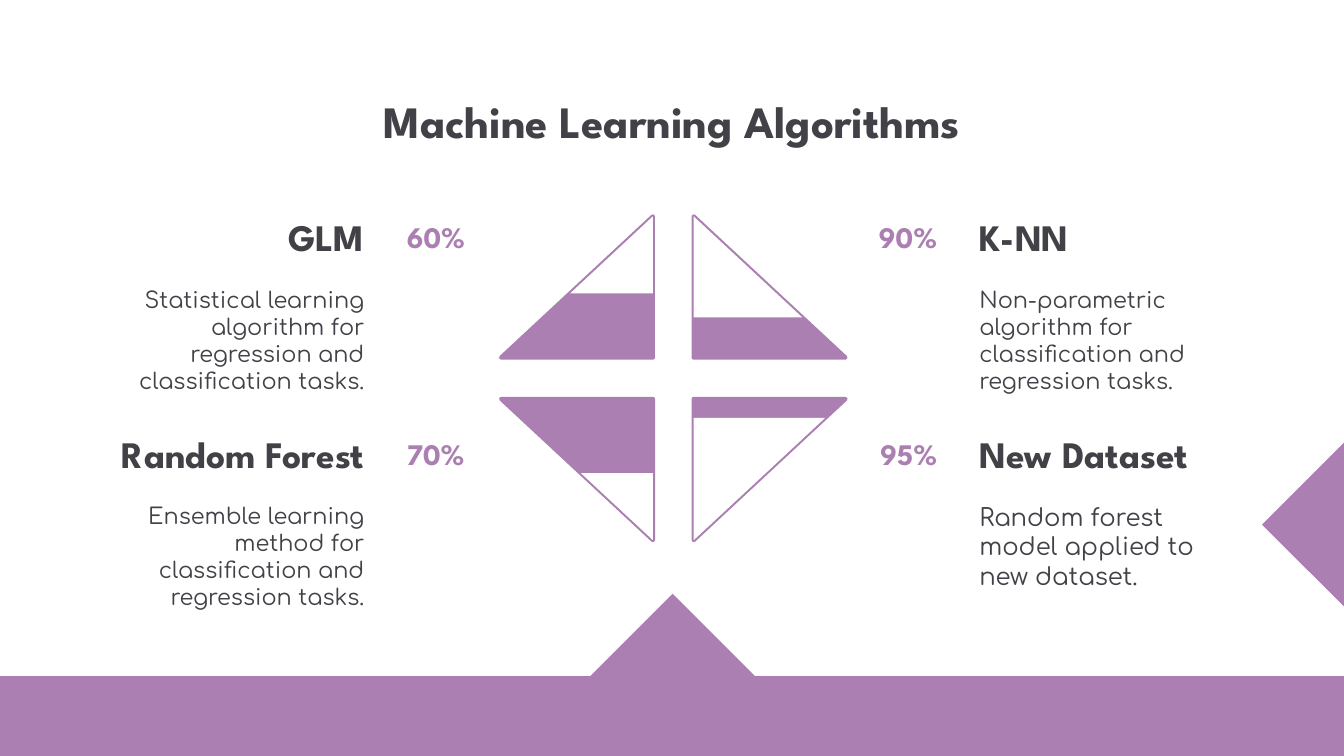
from dataclasses import dataclass

from lxml import etree
from pptx import Presentation
from pptx.dml.color import RGBColor
from pptx.enum import shapes, text
from pptx.oxml import ns
from pptx.util import Cm, Pt


@dataclass(frozen=True)
class Theme:
    accent: RGBColor = RGBColor(0xAC, 0x7F, 0xB2)
    ink: RGBColor = RGBColor(0x41, 0x41, 0x47)
    paper: RGBColor = RGBColor(0xFF, 0xFF, 0xFF)
    heading_font: str = "League Spartan"
    body_font: str = "Comfortaa"
    title_size: int = 24
    heading_size: int = 20
    percent_size: int = 16
    body_size: int = 12
    large_body_size: int = 13


THEME = Theme()
LEFT, CENTER, RIGHT = text.PP_ALIGN.LEFT, text.PP_ALIGN.CENTER, text.PP_ALIGN.RIGHT
TOP, MIDDLE, BOTTOM = (
    text.MSO_ANCHOR.TOP, text.MSO_ANCHOR.MIDDLE, text.MSO_ANCHOR.BOTTOM)

# Grid, in centimetres
ROW_GAP = 4.09
LEFT_COLUMN_EDGE, RIGHT_COLUMN_EDGE = 7.14, 18.26
TRIANGLE_WIDTH, TRIANGLE_HEIGHT = 2.87, 2.67
TRIANGLE_TOPS = (4.09, 7.54)
INNER_LEFT, INNER_RIGHT = 12.34, 13.11

# Name, description, percentage, body size, empty share of the triangle;
# listed by row, left before right
ALGORITHMS = [
    ("GLM", "Statistical learning algorithm for regression and classification tasks.",
     "60%", THEME.body_size, 0.545),
    ("K-NN", "Non-parametric algorithm for classification and regression tasks.",
     "90%", THEME.body_size, 0.715),
    ("Random Forest", "Ensemble learning method for classification and regression tasks.",
     "70%", THEME.body_size, 0.475),
    ("New Dataset", "Random forest model applied to new dataset.",
     "95%", THEME.large_body_size, 0.865),
]


def write_text(shape, content, *, size, font=THEME.heading_font, bold=True,
               color=THEME.ink, align=LEFT, anchor=MIDDLE):
    frame = shape.text_frame
    frame.word_wrap = True
    frame.auto_size = text.MSO_AUTO_SIZE.NONE
    frame.vertical_anchor = anchor
    frame.margin_left = frame.margin_right = Cm(0.25)
    frame.margin_top = frame.margin_bottom = Cm(0.25)
    paragraph = frame.paragraphs[0]
    paragraph.alignment = align
    run = paragraph.add_run()
    run.text = content
    run.font.name = font
    run.font.size = Pt(size)
    run.font.bold = bold
    run.font.color.rgb = color


def add_text(slide, box, content, **text_format):
    shape = slide.shapes.add_textbox(*map(Cm, box))
    write_text(shape, content, **text_format)


def add_solid(slide, kind, box, color=THEME.accent, rotation=0):
    shape = slide.shapes.add_shape(kind, *map(Cm, box))
    shape.shadow.inherit = False
    shape.rotation = rotation
    shape.fill.solid()
    shape.fill.fore_color.rgb = color
    shape.line.fill.background()
    return shape


def add_outline(shape, color, width):
    shape.line.color.rgb = color
    shape.line.width = Pt(width)
    line = shape.line._get_or_add_ln()
    etree.SubElement(line, ns.qn("a:round"))


def add_triangle(slide, row, on_left, color, scale=1):
    """Right triangle whose tip stays at the inner edge of its quadrant."""
    width, height = TRIANGLE_WIDTH * scale, TRIANGLE_HEIGHT * scale
    left = INNER_LEFT - width if on_left else INNER_RIGHT
    top = TRIANGLE_TOPS[row] + (TRIANGLE_HEIGHT - height if row else 0)
    shape = add_solid(slide, shapes.MSO_SHAPE.ISOSCELES_TRIANGLE,
                      (left, top, width, height), color, rotation=180 * row)
    # A half turn swaps the sides
    shape.adjustments[0] = 1 if on_left != bool(row) else 0
    return shape


def add_gauge(slide, row, on_left, empty_share):
    whole = add_triangle(slide, row, on_left, THEME.accent)
    add_outline(whole, THEME.accent, 2.25)
    add_triangle(slide, row, on_left, THEME.paper, empty_share)


def add_algorithm(slide, row, on_left, name, description, percent, body_size):
    offset = row * ROW_GAP
    align = RIGHT if on_left else LEFT

    def column_box(top, width, height):
        left = LEFT_COLUMN_EDGE - width if on_left else RIGHT_COLUMN_EDGE
        return left, top + offset, width, height

    add_text(slide, column_box(3.78, 6, 1.37), name,
             size=THEME.heading_size, align=align, anchor=BOTTOM)
    add_text(slide, column_box(5.16, 5.16, 1.98), description, size=body_size,
             font=THEME.body_font, bold=False, align=align, anchor=TOP)
    add_text(slide, (7.44 if on_left else 15.98, 3.99 + offset, 1.98, 0.97),
             percent, size=THEME.percent_size, color=THEME.accent,
             align=LEFT if on_left else RIGHT)


def add_decoration(slide):
    rectangle = shapes.MSO_SHAPE.RECTANGLE
    add_solid(slide, rectangle, (-0.03, 12.78, 25.46, 1.53))
    for left, top in ((24.31, 8.81), (11.61, 11.68)):
        add_solid(slide, rectangle, (left, top, 2.21, 2.21), rotation=315)


def add_title(slide, content):
    title = slide.shapes.title
    title.left, title.top, title.width, title.height = map(
        Cm, (1.98, 1.47, 21.44, 1.6))
    write_text(title, content, size=THEME.title_size, align=CENTER)


def main():
    presentation = Presentation()
    presentation.slide_width, presentation.slide_height = Cm(25.4), Cm(14.29)
    title_only = presentation.slide_layouts[5]
    slide = presentation.slides.add_slide(title_only)

    # Band and corner shapes
    add_decoration(slide)
    add_title(slide, "Machine Learning Algorithms")

    # Four quadrants
    for index, (name, description, percent, size, empty) in enumerate(ALGORITHMS):
        row, column = divmod(index, 2)
        on_left = column == 0
        add_gauge(slide, row, on_left, empty)
        add_algorithm(slide, row, on_left, name, description, percent, size)

    presentation.save("out.pptx")


if __name__ == "__main__":
    main()
